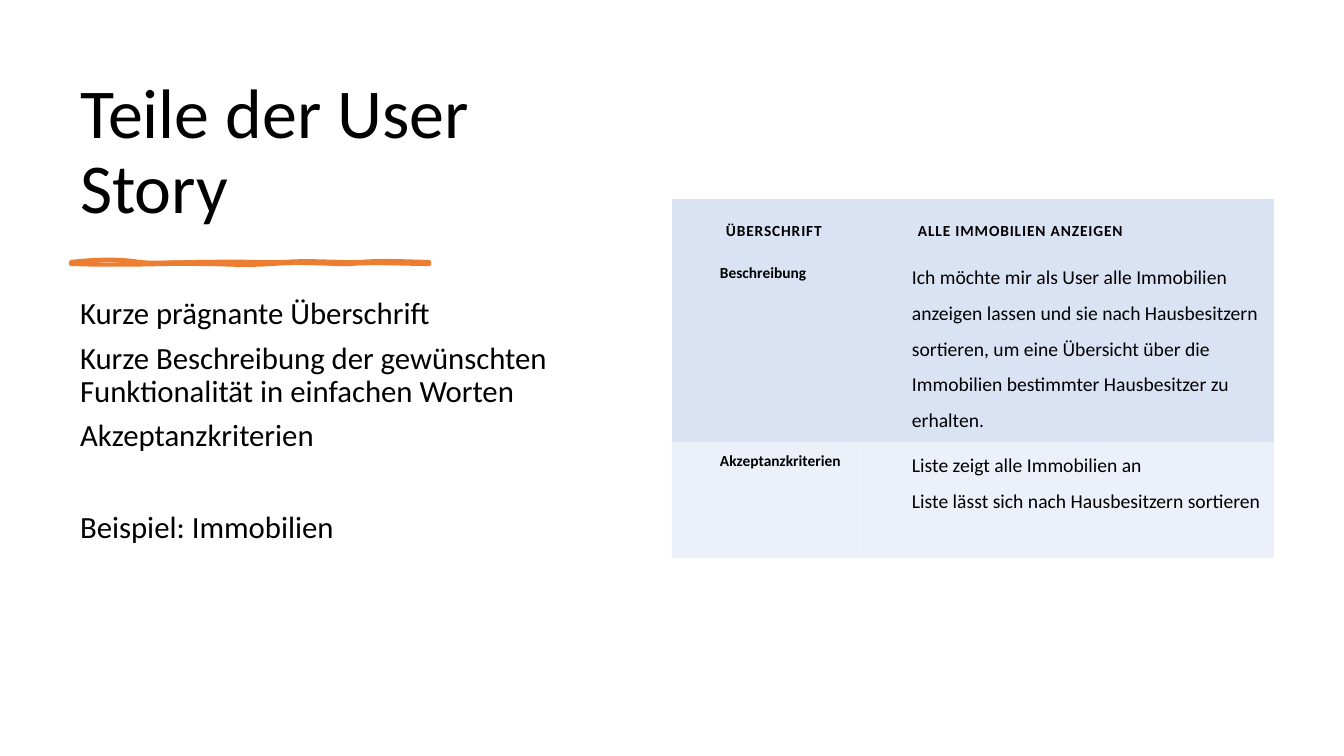
from lxml.etree import SubElement
from pptx import Presentation
from pptx.dml.color import RGBColor
from pptx.enum.text import MSO_ANCHOR, MSO_AUTO_SIZE, PP_ALIGN
from pptx.oxml.ns import qn
from pptx.util import Emu, Pt

BLACK = RGBColor(0x00, 0x00, 0x00)
ORANGE = RGBColor(0xED, 0x7D, 0x31)
PALE_BLUE = RGBColor(0xDA, 0xE3, 0xF3)
NO_GRID_STYLE = "{2D5ABB26-0587-4C30-8999-92F81FD0307C}"


def px(n):
    return Emu(round(n * 914400 / 100.8))


def format_paragraph(p, size, spacing, before, after, bold=False):
    p.alignment = PP_ALIGN.LEFT
    p.line_spacing = spacing
    p.space_before, p.space_after = Pt(before), Pt(after)
    p.font.name = "Calibri"
    p.font.size = Pt(size)
    p.font.bold = bold
    p.font.color.rgb = BLACK


prs = Presentation()
prs.slide_width, prs.slide_height = px(1344), px(756)
slide = prs.slides.add_slide(prs.slide_layouts[1])
title, body = slide.placeholders

title.left, title.top, title.width, title.height = px(70), px(71), px(531), px(163)
tf = title.text_frame
tf.text = "Teile der User Story"
tf.word_wrap = True
tf.auto_size = MSO_AUTO_SIZE.NONE
tf.vertical_anchor = MSO_ANCHOR.BOTTOM
format_paragraph(tf.paragraphs[0], 50, 0.9, 0, 0)

body.left, body.top, body.width, body.height = px(70), px(293), px(531), px(391)
points = [
    ("Kurze prägnante Überschrift", 8, 0),
    ("Kurze Beschreibung der gewünschten Funktionalität in einfachen Worten", 8, 0),
    ("Akzeptanzkriterien", 8, 0),
    ("Beispiel: Immobilien", 42, 16),
]
tf = body.text_frame
tf.text = "\n".join(text for text, before, after in points)
tf.word_wrap = True
tf.auto_size = MSO_AUTO_SIZE.NONE
tf.vertical_anchor = MSO_ANCHOR.TOP
for p, (text, before, after) in zip(tf.paragraphs, points):
    format_paragraph(p, 22, 0.9, before, after)
    pPr = p._p.get_or_add_pPr()
    pPr.set("marL", "0")
    pPr.set("indent", "0")
    pPr.insert_element_before(pPr.makeelement(qn("a:buNone")), "a:tabLst", "a:defRPr", "a:extLst")

strokes = [
    ("fill", [
        (71, 262), (98, 259), (122, 259), (139, 262), (156, 264), (178, 262), (211, 262),
        (243, 261), (262, 263), (286, 262), (310, 260), (342, 263), (362, 262),
        (382, 260), (415, 262), (429, 262), (429, 262), (429, 263), (429, 264),
        (411, 264), (367, 262), (351, 264), (335, 265), (306, 261), (272, 264),
        (237, 266), (233, 264), (201, 264), (167, 263), (133, 266), (71, 264),
        (71, 263), (71, 262), (71, 262)]),
    ("stroke", [
        (71, 262), (103, 264), (111, 262), (139, 262), (167, 261), (170, 259), (201, 262),
        (230, 264), (263, 263), (279, 262), (295, 260), (330, 264), (347, 262),
        (365, 259), (400, 265), (429, 262), (429, 262), (429, 263), (429, 264),
        (415, 263), (375, 266), (358, 264), (342, 261), (315, 264), (279, 264),
        (246, 263), (242, 262), (218, 264), (195, 265), (180, 263), (146, 264),
        (112, 264), (93, 263), (71, 264), (71, 263), (71, 262), (71, 262)]),
]
builder = slide.shapes.build_freeform(px(71), px(262))
builder.add_line_segments([(px(x), px(y)) for x, y in strokes[0][1][3::3]], close=True)
sp = builder.convert_to_shape()
sp.shadow.inherit = False
sp.fill.solid()
sp.fill.fore_color.rgb = ORANGE
sp.line.color.rgb = ORANGE
sp.line.width = Pt(3)

path_list = sp._element.spPr.find(".//" + qn("a:pathLst"))
path_list.clear()
for switched_off, stroke in strokes:
    path = SubElement(path_list, qn("a:path"), w=str(sp.width), h=str(sp.height))
    path.set(switched_off, "none" if switched_off == "fill" else "0")
    segments = [("a:moveTo", stroke[:1])]
    segments += [("a:cubicBezTo", stroke[k:k + 3]) for k in range(1, len(stroke) - 2, 3)]
    for tag, pts in segments:
        segment = SubElement(path, qn(tag))
        for x, y in pts:
            SubElement(segment, qn("a:pt"), x=str(px(x) - sp.left), y=str(px(y) - sp.top))
    SubElement(path, qn("a:close"))

rows = [
    ("ÜBERSCHRIFT", "ALLE IMMOBILIEN ANZEIGEN"),
    ("Beschreibung",
     "Ich möchte mir als User alle Immobilien anzeigen lassen und sie nach Hausbesitzern "
     "sortieren, um eine Übersicht über die Immobilien bestimmter Hausbesitzer zu erhalten."),
    ("Akzeptanzkriterien",
     "Liste zeigt alle Immobilien an\vListe lässt sich nach Hausbesitzern sortieren"),
]
table = slide.shapes.add_table(3, 2, px(672), px(199), px(602), px(359)).table
table.first_row = table.horz_banding = False
table._tbl.tblPr.find(qn("a:tableStyleId")).text = NO_GRID_STYLE
for column, width in zip(table.columns, (192, 410)):
    column.width = px(width)
for row, height in zip(table.rows, (55, 188, 116)):
    row.height = px(height)

for r, texts in enumerate(rows):
    for c, text in enumerate(texts):
        cell = table.cell(r, c)
        header = r == 0
        label = header or c == 0
        cell.margin_left = cell.margin_right = px(13 if header else 7)
        cell.margin_top = px(13 if header else 0)
        cell.margin_bottom = px(13 if header else 9)
        cell.fill.solid()
        cell.fill.fore_color.rgb = PALE_BLUE
        if r == 2:
            color = cell._tc.tcPr.find(".//" + qn("a:srgbClr"))
            SubElement(color, qn("a:alpha")).set("val", "50000")
        p = cell.text_frame.paragraphs[0]
        p.text = text
        format_paragraph(p, 11 if label else 14, 1.5, 8, 16, label)
        p._p.get_or_add_pPr().set("marL", str(px(41)))
        if header:
            p.runs[0]._r.get_or_add_rPr().set("spc", "60")

prs.save("out.pptx")
